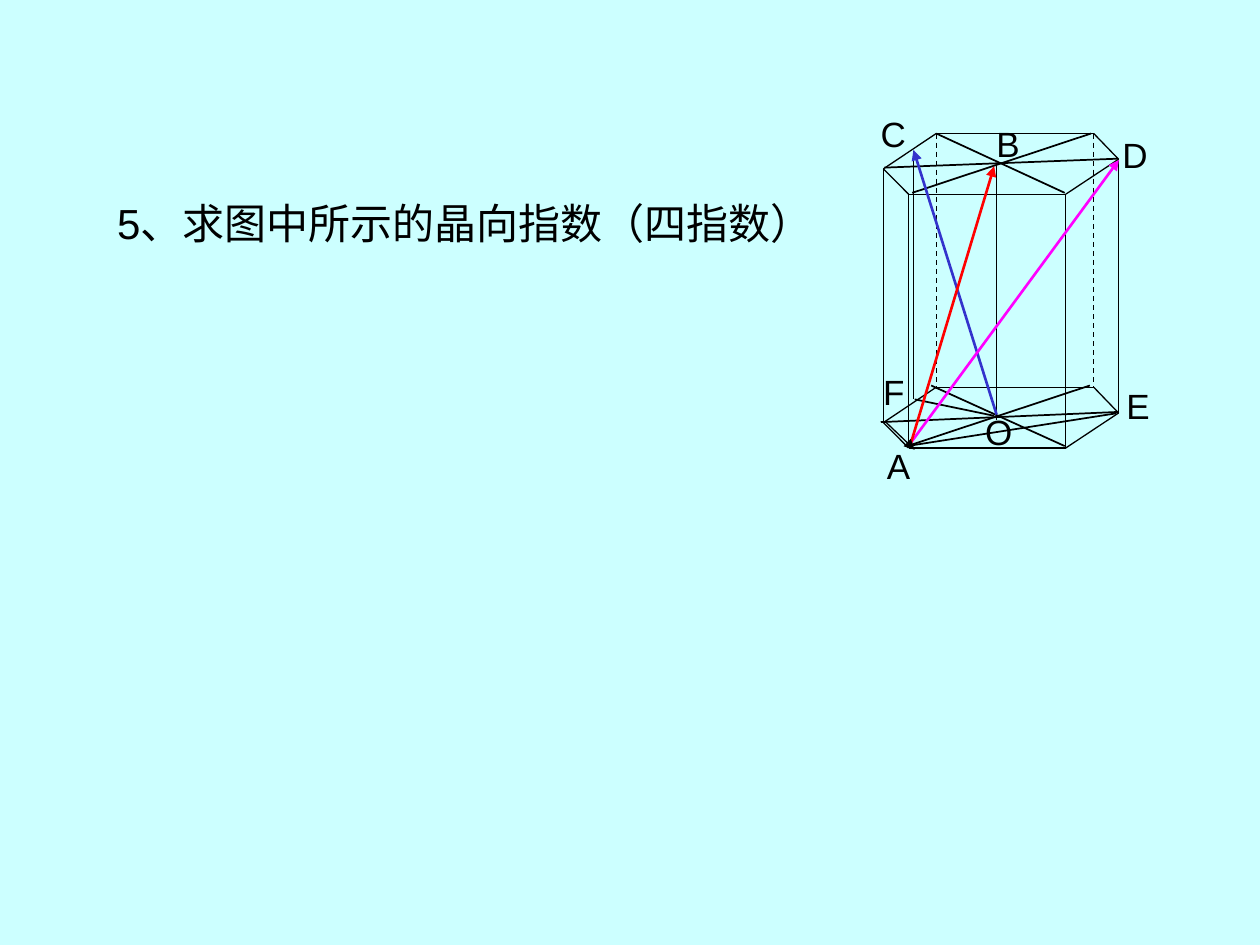
from lxml import etree
from pptx import Presentation
from pptx.dml.color import RGBColor
from pptx.enum.dml import MSO_LINE
from pptx.enum.shapes import MSO_CONNECTOR
from pptx.enum.text import MSO_ANCHOR, PP_ALIGN
from pptx.oxml.ns import qn
from pptx.util import Pt

HEXAGON = [(535, 76.3), (625, 76.3), (639.2, 91), (609, 111), (519.2, 111), (504.8, 96.5)]
PRISM_HEIGHT = 145
DIAGONALS = [
    (503.3, 241.2, 639.2, 235.4), (532.1, 220.3, 608.4, 254.9), (520.6, 254.2, 622.8, 220.3),
    (505.4, 95.8, 638.6, 90.7), (535, 76.3, 608.4, 110.2), (521.3, 110.2, 623.5, 76.3),
]
CONSTRUCTION_LINES = [
    (569.5, 239.8, 569.5, 92.9), (518.4, 254.9, 637.9, 236.2),
    (568.1, 237.6, 522.7, 228.2), (522, 86.4, 522, 228.2),
]
DIRECTIONS = [
    ((569.5, 236.9, 522, 85.7), "3333CC", 1.5),
    ((519.1, 254.9, 639.4, 91.4), "FF00FF", 1.5),
    ((519.8, 255.6, 568.1, 95), "FF0000", 1.5),
    ((506.2, 241.2, 522.7, 257), "000000", 0.75),
]
LABELS = {
    "A": (499.7, 250.6), "O": (555.8, 231.1), "B": (562.3, 66.2), "C": (496.1, 60.5),
    "D": (634.3, 72.7), "E": (636.5, 216), "F": (497.5, 208.1),
}


def rgb(value):
    return RGBColor.from_string(value)


def add_line(s, ends, color="000000", width=0.75, dashed=False, arrow=False):
    line = s.shapes.add_connector(MSO_CONNECTOR.STRAIGHT, *[Pt(v) for v in ends])
    line.line.color.rgb = rgb(color)
    line.line.width = Pt(width)
    if dashed:
        line.line.dash_style = MSO_LINE.DASH
    if arrow:
        etree.SubElement(line.line._get_or_add_ln(), qn("a:tailEnd"), type="triangle")
    etree.SubElement(line._element.spPr, qn("a:effectLst"))


def add_text(s, text, box, size=20, align=PP_ALIGN.LEFT, hanging=0):
    tf = s.shapes.add_textbox(*[Pt(v) for v in box]).text_frame
    tf.word_wrap = True
    tf.vertical_anchor = MSO_ANCHOR.TOP
    p = tf.paragraphs[0]
    p.alignment = align
    if hanging:
        pPr = p._p.get_or_add_pPr()
        pPr.set("marL", str(Pt(hanging)))
        pPr.set("indent", str(-Pt(hanging)))
    r = p.add_run()
    r.text = text
    r.font.name = "Arial"
    r.font.size = Pt(size)
    r.font.color.rgb = rgb("000000")


def add_prism(s):
    for i, (x, y) in enumerate(HEXAGON):
        next_x, next_y = HEXAGON[(i + 1) % len(HEXAGON)]
        for drop in (0, PRISM_HEIGHT):
            add_line(s, (x, y + drop, next_x, next_y + drop))
        add_line(s, (x, y, x, y + PRISM_HEIGHT), dashed=i < 2)


def main():
    prs = Presentation()
    prs.slide_width, prs.slide_height = Pt(720), Pt(540)
    s = prs.slides.add_slide(prs.slide_layouts[6])
    s.background.fill.solid()
    s.background.fill.fore_color.rgb = rgb("CCFFFF")

    add_text(s, "5、求图中所示的晶向指数（四指数）", (59.8, 109.4, 588.2, 36), size=24, hanging=35.3)
    add_prism(s)
    for ends in DIAGONALS + CONSTRUCTION_LINES:
        add_line(s, ends, width=1)
    for ends, color, width in DIRECTIONS:
        add_line(s, ends, color, width, arrow=True)
    for label, (x, y) in LABELS.items():
        add_text(s, label, (x, y, 49, 42.5), align=PP_ALIGN.JUSTIFY)

    prs.save("out.pptx")


main()
